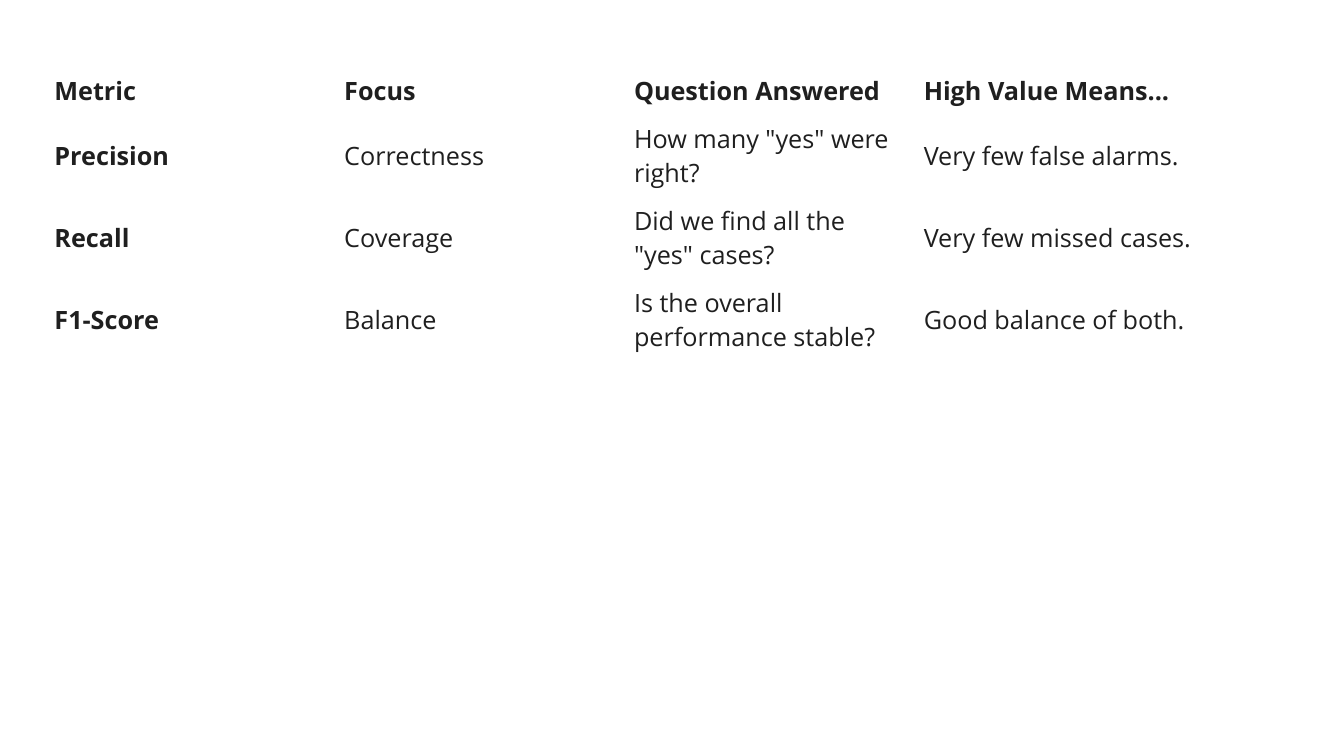
import pptx
import pptx.dml.color
import pptx.enum.text
import pptx.oxml
import pptx.util
from lxml import etree

Pt = pptx.util.Pt

HEADINGS = ["Metric", "Focus", "Question Answered", "High Value Means..."]
METRICS = [
    ["Precision", "Correctness", 'How many "yes" were right?', "Very few false alarms."],
    ["Recall", "Coverage", 'Did we find all the "yes" cases?', "Very few missed cases."],
    ["F1-Score", "Balance", "Is the overall performance stable?", "Good balance of both."],
]
INK, WHITE = "1F1F1F", "FFFFFF"
LEFT, TOP = 31.7, 47.5
COLUMN_WIDTH = 207
HEADING_HEIGHT, METRIC_HEIGHT = 34.6, 58.6
BORDER_WIDTH = 0.6

CELL_FORMAT = {
    "vertical_anchor": pptx.enum.text.MSO_ANCHOR.MIDDLE,
    "margin_left": Pt(7.2),
    "margin_right": Pt(7.2),
    "margin_top": Pt(4.8),
    "margin_bottom": Pt(4.8),
}
FONT_FORMAT = {"name": "Open Sans", "size": Pt(18)}


def color(hex_value):
    return pptx.dml.color.RGBColor.from_string(hex_value)


def apply(target, settings):
    for key, value in settings.items():
        setattr(target, key, value)


def add_borders(cell):
    """Draw thin white lines on all four sides; call before the cell is filled."""
    properties = cell._tc.get_or_add_tcPr()
    for side in ("lnL", "lnR", "lnT", "lnB"):
        line = etree.SubElement(properties, pptx.oxml.ns.qn("a:" + side), w=str(Pt(BORDER_WIDTH)))
        fill = etree.SubElement(line, pptx.oxml.ns.qn("a:solidFill"))
        etree.SubElement(fill, pptx.oxml.ns.qn("a:srgbClr"), val=WHITE)


def main():
    deck = pptx.Presentation()
    deck.slide_width, deck.slide_height = Pt(960), Pt(540)
    slide = deck.slides.add_slide(deck.slide_layouts[6])

    rows = [HEADINGS] + METRICS
    heights = [HEADING_HEIGHT] + [METRIC_HEIGHT] * len(METRICS)
    comparison = slide.shapes.add_table(
        len(rows), len(HEADINGS), Pt(LEFT), Pt(TOP),
        Pt(COLUMN_WIDTH * len(HEADINGS)), Pt(sum(heights)),
    ).table
    comparison.horz_banding = False

    for column in comparison.columns:
        column.width = Pt(COLUMN_WIDTH)
    for r, (row, height) in enumerate(zip(rows, heights)):
        comparison.rows[r].height = Pt(height)
        for c, wording in enumerate(row):
            cell = comparison.cell(r, c)
            apply(cell, CELL_FORMAT)
            add_borders(cell)
            cell.fill.background()
            run = cell.text_frame.paragraphs[0].add_run()
            run.text = wording
            apply(run.font, FONT_FORMAT)
            run.font.bold = r == 0 or c == 0
            run.font.color.rgb = color(INK)

    deck.save("out.pptx")


if __name__ == "__main__":
    main()
